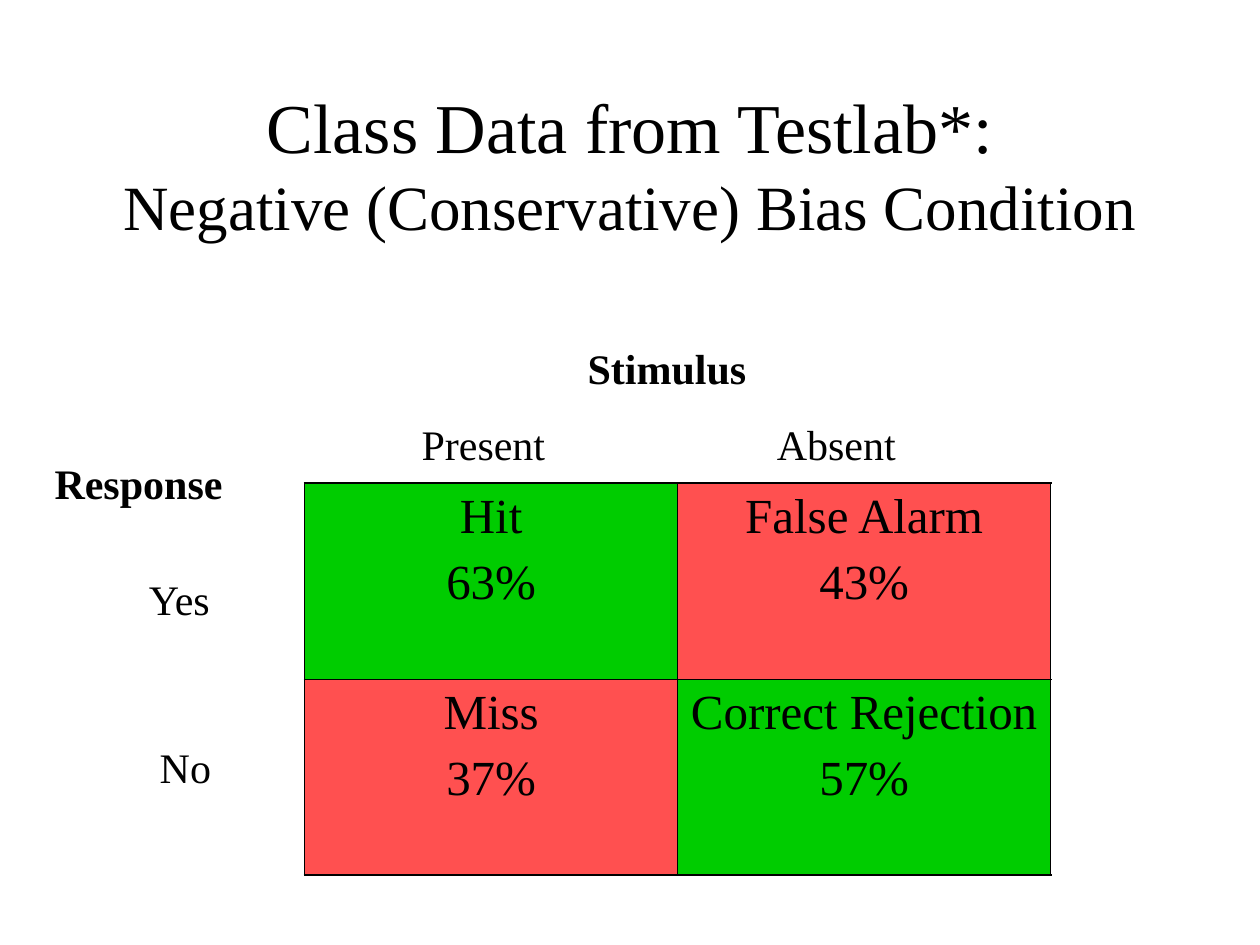
from lxml.etree import SubElement
from pptx import Presentation
from pptx.dml.color import RGBColor
from pptx.enum.text import MSO_ANCHOR, MSO_AUTO_SIZE, PP_ALIGN
from pptx.oxml.ns import qn
from pptx.util import Cm, Pt

COLORS = {"text": "000000", "correct": "00CC00", "error": "FF5050"}
OUTER, INNER = 1.08, 0.45
CELLS = [
    [("Hit", "63%", "correct"), ("False Alarm", "43%", "error")],
    [("Miss", "37%", "error"), ("Correct Rejection", "57%", "correct")],
]


def rgb(name):
    return RGBColor.from_string(COLORS[name])


def add_run(p, text, size, bold=False):
    r = p.add_run()
    r.text = text
    values = {"name": "Times New Roman", "size": Pt(size), "bold": bold}
    for key, value in values.items():
        setattr(r.font, key, value)
    r.font.color.rgb = rgb("text")


def add_title(s, x, y, w, h):
    sp = s.shapes.title
    box = {"left": x, "top": y, "width": w, "height": h}
    for key, value in box.items():
        setattr(sp, key, Cm(value))
    tf = sp.text_frame
    tf.auto_size = MSO_AUTO_SIZE.NONE
    tf.vertical_anchor = MSO_ANCHOR.MIDDLE
    p = tf.paragraphs[0]
    p.alignment = PP_ALIGN.CENTER
    add_run(p, "Class Data from Testlab*:", 40)
    br = SubElement(p._p, qn("a:br"))
    SubElement(br, qn("a:rPr"), sz="4000")
    add_run(p, "Negative (Conservative) Bias Condition", 36)


def add_label(s, x, y, w, h, text, bold=False):
    tf = s.shapes.add_textbox(Cm(x), Cm(y), Cm(w), Cm(h)).text_frame
    tf.word_wrap = True
    add_run(tf.paragraphs[0], text, 24, bold)
    return tf


def add_stimulus_header(s, x, y, w, h):
    tf = add_label(s, x, y, w, h, "Stimulus", True)
    tf.paragraphs[0].alignment = PP_ALIGN.CENTER
    p = tf.add_paragraph()
    p.space_before = Pt(15)
    tabs = SubElement(p._p.get_or_add_pPr(), qn("a:tabLst"))
    for pos in (0.84, 8):
        SubElement(tabs, qn("a:tab"), pos=str(Cm(pos)), algn="l")
    add_run(p, "\tPresent\tAbsent", 24)


def add_response_labels(s, x, y):
    add_label(s, x, y, 4.45, 1.27, "Response", True)
    add_label(s, x + 1.9, y + 2.34, 2.54, 1.27, "Yes")
    add_label(s, x + 2.12, y + 5.72, 2.54, 1.27, "No")


def set_borders(cell, widths):
    tc_pr = cell._tc.get_or_add_tcPr()
    for side, width in widths.items():
        ln = SubElement(tc_pr, qn(f"a:ln{side}"), w=str(Pt(width)))
        fill = SubElement(ln, qn("a:solidFill"))
        SubElement(fill, qn("a:srgbClr"), val=COLORS["text"])


def add_outcome_table(s, x, y, w, h):
    table = s.shapes.add_table(2, 2, Cm(x), Cm(y), Cm(w), Cm(h)).table
    table.first_row = table.horz_banding = False
    for i, row in enumerate(CELLS):
        for j, (outcome, rate, color) in enumerate(row):
            cell = table.cell(i, j)
            set_borders(cell, {
                "L": INNER if j else OUTER,
                "R": OUTER if j else INNER,
                "T": INNER if i else OUTER,
                "B": OUTER if i else INNER,
            })
            cell.fill.solid()
            cell.fill.fore_color.rgb = rgb(color)
            tf = cell.text_frame
            add_run(tf.paragraphs[0], outcome, 28)
            p = tf.add_paragraph()
            p.space_before = Pt(7)
            add_run(p, rate, 28)
            for p in tf.paragraphs:
                p.alignment = PP_ALIGN.CENTER


def main():
    prs = Presentation()
    prs.slide_width, prs.slide_height = Cm(25.4), Cm(19.05)
    s = prs.slides.add_slide(prs.slide_layouts[5])
    add_title(s, 1.9, 1.7, 21.6, 3.18)
    add_outcome_table(s, 6.14, 9.74, 15.04, 7.9)
    add_stimulus_header(s, 7.41, 6.77, 12.07, 2.82)
    add_response_labels(s, 0.85, 9.1)
    prs.save("out.pptx")


if __name__ == "__main__":
    main()
